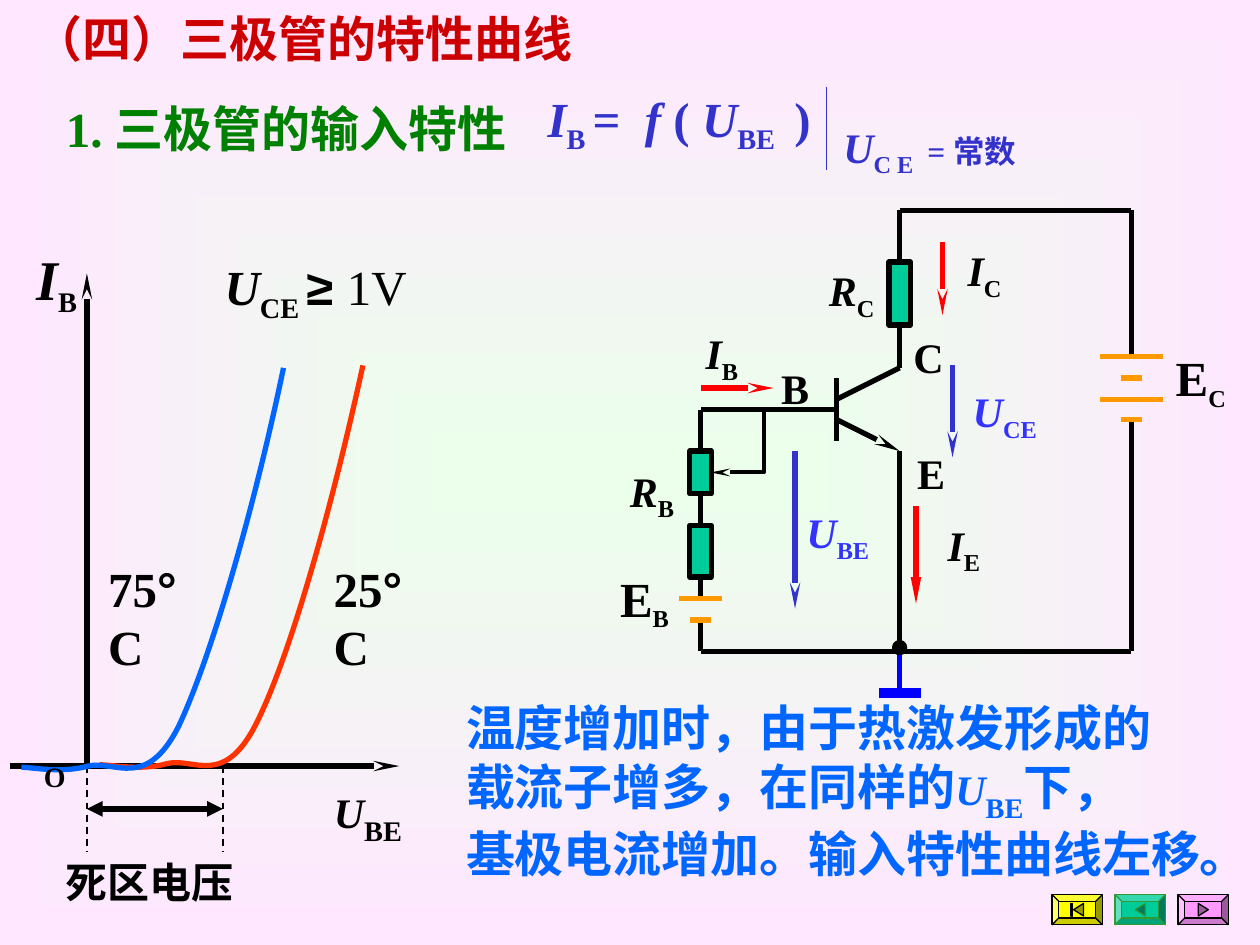
import pptx
import pptx.util
import pptx.dml.color
import pptx.enum.dml
import pptx.enum.shapes
import pptx.enum.text
import pptx.oxml
import pptx.oxml.ns

Inches, Pt = pptx.util.Inches, pptx.util.Pt
RGB = pptx.dml.color.RGBColor
KIND = pptx.enum.shapes.MSO_SHAPE
ALIGN = pptx.enum.text.PP_ALIGN
ANCHOR = pptx.enum.text.MSO_ANCHOR
NS = pptx.oxml.ns.nsdecls("a")
qn = pptx.oxml.ns.qn

BLACK, RED, BLUE = RGB(0, 0, 0), RGB(255, 0, 0), RGB(0, 0, 255)
INDIGO, VIOLET = RGB(0x33, 0x33, 0xCC), RGB(0x33, 0x33, 0xFF)
GREEN, CRIMSON = RGB(0, 0x80, 0), RGB(0xCC, 0, 0)
ORANGE, TEAL = RGB(0xFF, 0x99, 0), RGB(0, 0xCC, 0x99)
WARM, COOL = RGB(0xFF, 0x33, 0), RGB(0, 0x66, 0xFF)
MINT, ROSE = RGB(0xEB, 0xFF, 0xEB), RGB(0xFF, 0xE7, 0xFF)
LATIN, HAN = "Times New Roman", "Noto Sans CJK SC"

# A run is (text, style, size); styles: i italic, s subscript, a Arial, n not bold.
# A label is (left, top, width, height), size, colour, runs.
LABELS = [
    ((0.17, 0.02, 4.47, 0.57), 28, CRIMSON, [("（四）三极管的特性曲线",)]),
    ((0.38, 0.73, 3.78, 0.57), 28, GREEN, [("1. ",), ("三极管的输入特性",)]),
    ((3.98, 0.65, 2.82, 0.63), 28, INDIGO,
     [("I", "i"), ("B ", "s"), ("= ",), (" f", "i"), (" ( ",), ("U", "i"),
      ("BE ", "s"), (" )",)]),
    ((6.56, 0.91, 1.64, 0.56), 24, INDIGO,
     [("U", "i"), ("C E ", "s"), (" = 常数", "", 18)]),
    ((0.19, 1.89, 0.52, 0.69), 32, BLACK, [("I", "i"), ("B", "s", 28)]),
    ((2.55, 6.14, 0.74, 0.63), 24, BLACK, [("U", "i"), ("BE", "s", 28)]),
    ((0.25, 5.98, 0.37, 0.37), 16, BLACK, [("O",)]),
    ((1.62, 1.99, 1.77, 0.63), 28, BLACK,
     [("U", "i"), ("CE ", "s"), ("≥ ", "a"), ("1V", "n")]),
    ((0.42, 6.75, 1.53, 0.5), 24, BLACK, [("死区电压",)]),
    ((4.9, 3.64, 0.55, 0.56), 24, BLACK, [("R", "i"), ("B", "s")]),
    ((6.48, 2.05, 0.56, 0.56), 24, BLACK, [("R", "i"), ("C", "s")]),
    ((4.82, 4.46, 0.59, 0.61), 28, BLACK, [("E",), ("B", "s", 24)]),
    ((9.23, 2.71, 0.6, 0.61), 28, BLACK, [("E",), ("C", "s", 24)]),
    ((7.58, 1.89, 0.47, 0.56), 24, BLACK, [("I", "i"), ("C", "s")]),
    ((5.5, 2.55, 0.46, 0.56), 24, BLACK, [("I", "i"), ("B", "s")]),
    ((7.42, 4.07, 0.46, 0.56), 24, BLACK, [("I", "i"), ("E", "s")]),
    ((7.56, 3.01, 0.83, 0.56), 24, VIOLET, [("U", "i"), ("CE", "s")]),
    ((6.3, 3.97, 0.7, 0.56), 24, VIOLET, [("U", "i"), ("BE", "s")]),
    ((7.15, 2.58, 0.42, 0.5), 24, BLACK, [("C",)]),
    ((7.18, 3.5, 0.42, 0.5), 24, BLACK, [("E",)]),
    ((6.1, 2.83, 0.42, 0.5), 24, BLACK, [("B",)]),
]
NOTE = [
    [("温度增加时，由于热激发形成的",)],
    [("载流子增多，在同样的",), ("U", "i", 24), ("BE", "s"), ("下，",)],
    [("基极电流增加。输入特性曲线左移。",)],
]
TEMPS = [("25", 2.55), ("75", 0.76)]

RESISTORS = [(7.14, 2.08, 0.5), (5.56, 3.58, 0.34), (5.56, 4.17, 0.41)]
WIRES = [
    [(7.14, 2.08), (7.14, 1.67), (8.98, 1.67), (8.98, 2.83)],
    [(7.14, 2.58), (7.14, 2.92), (6.64, 3.17)],
    [(6.64, 3), (6.64, 3.5)],
    [(6.64, 3.25), (5.56, 3.25), (5.56, 3.58)],
    [(5.56, 3.92), (5.56, 4.17)],
    [(5.56, 4.58), (5.56, 4.75)],
    [(5.56, 4.92), (5.56, 5.17), (8.98, 5.17), (8.98, 3.33)],
    [(7.14, 3.58), (7.14, 5.17)],
]
ARROWS = [
    ((0.69, 6.08), (0.69, 2.17), BLACK, "stealth"),
    ((0.08, 6.08), (3.17, 6.08), BLACK, "stealth"),
    ((6.64, 3.33), (7.14, 3.58), BLACK, "stealth"),
    ((7.48, 1.92), (7.48, 2.5), RED, "stealth"),
    ((5.56, 3.08), (6.14, 3.08), RED, "stealth"),
    ((7.27, 4.02), (7.27, 4.79), RED, "triangle"),
    ((7.56, 2.9), (7.56, 3.63), INDIGO, "stealth"),
    ((6.31, 3.58), (6.31, 4.83), INDIGO, "stealth"),
]
PLATES = [(8.98, 2.83, 0.5), (8.98, 3, 0.17), (8.98, 3.17, 0.5),
          (8.98, 3.33, 0.17), (5.56, 4.75, 0.34), (5.56, 4.92, 0.17)]
CURVES = [
    (WARM, [(0.79, 6.07), (0.88, 6.07), (1.12, 6.12), (1.33, 6.06), (1.54, 6.01),
            (1.78, 6.26), (2.04, 5.73), (2.3, 5.21), (2.63, 4.05), (2.88, 2.9)]),
    (COOL, [(0.17, 6.09), (0.26, 6.09), (0.49, 6.14), (0.7, 6.08), (0.91, 6.03),
            (1.16, 6.28), (1.42, 5.76), (1.67, 5.23), (2.01, 4.07), (2.25, 2.92)]),
]
# fill, line, icon fill, arrow direction, bar
BUTTONS = [
    (RGB(255, 255, 0), BLACK, RGB(0x99, 0x99, 0), -1, True),
    (TEAL, RGB(0x33, 0x99, 0x33), RGB(0, 0x7A, 0x5C), -1, False),
    (RGB(0xFF, 0x99, 0xFF), BLACK, RGB(0x99, 0x5C, 0x99), 1, False),
]

deck = pptx.Presentation()
deck.slide_width, deck.slide_height = Inches(10), Inches(7.5)
slide = deck.slides.add_slide(deck.slide_layouts[6])
shapes = slide.shapes
ports = {}


def paint():
    """Fill the background from a mint centre to rose edges."""
    fill = slide.background.fill
    fill.gradient()
    for stop, hue, pos in zip(fill.gradient_stops, (MINT, ROSE), (0, 1)):
        stop.color.rgb, stop.position = hue, pos
    grad = slide.background._cSld.find(".//" + qn("a:gradFill"))
    grad.replace(grad.find(qn("a:lin")), pptx.oxml.parse_xml(
        f'<a:path {NS} path="rect"><a:fillToRect l="50000" t="50000" '
        'r="50000" b="50000"/></a:path>'))


def tip(item, end, kind, wide="sm", long="lg"):
    """Add an arrowhead; end is head or tail."""
    item.line._get_or_add_ln().append(pptx.oxml.parse_xml(
        f'<a:{end}End {NS} type="{kind}" w="{wide}" len="{long}"/>'))


def rule(start, end, hue=BLACK, width=3):
    item = shapes.add_connector(pptx.enum.shapes.MSO_CONNECTOR.STRAIGHT,
                                *map(Inches, start + end))
    item._element.spPr.append(pptx.oxml.parse_xml(f"<a:effectLst {NS}/>"))
    item.line.color.rgb, item.line.width = hue, Pt(width)
    if start in ports:
        item.begin_connect(*ports[start])
    if end in ports:
        item.end_connect(*ports[end])
    return item


def style(item, fill, hue, width):
    item.shadow.inherit = False
    if fill is None:
        item.fill.background()
    else:
        item.fill.solid()
        item.fill.fore_color.rgb = fill
    item.line.color.rgb, item.line.width = hue, Pt(width)
    return item


def block(kind, box, fill, hue=BLACK, width=3):
    return style(shapes.add_shape(kind, *map(Inches, box)), fill, hue, width)


def trace(pts, hue, width, fill=None, close=False):
    pen = shapes.build_freeform(*map(Inches, pts[0]))
    pen.add_line_segments([tuple(map(Inches, p)) for p in pts[1:]], close=close)
    return style(pen.convert_to_shape(), fill, hue, width)


def bend(item):
    """Turn each three line segments into one cubic curve."""
    track = item._element.find(".//" + qn("a:path"))
    legs = track.findall(qn("a:lnTo"))
    for i in range(0, len(legs), 3):
        cubic = pptx.oxml.parse_xml(f"<a:cubicBezTo {NS}/>")
        for leg in legs[i:i + 3]:
            cubic.append(leg[0])
            track.remove(leg)
        track.append(cubic)


def write(box, size, hue, paras, align=ALIGN.CENTER, anchor=ANCHOR.MIDDLE, wrap=False):
    frame = shapes.add_textbox(*map(Inches, box)).text_frame
    frame.word_wrap, frame.vertical_anchor = wrap, anchor
    frame.auto_size = pptx.enum.text.MSO_AUTO_SIZE.SHAPE_TO_FIT_TEXT
    for n, runs in enumerate(paras):
        para = frame.add_paragraph() if n else frame.paragraphs[0]
        para.alignment = align
        font = para.font
        font.size, font.bold, font.name, font.color.rgb = Pt(size), True, LATIN, hue
        font._element.append(pptx.oxml.parse_xml(f'<a:ea {NS} typeface="{HAN}"/>'))
        for text, mode, pts in ((*r, "", None)[:3] if len(r) == 1
                                else (*r, None)[:3] for r in runs):
            run = para.add_run()
            run.text = text
            if "i" in mode:
                run.font.italic = True
            if "n" in mode:
                run.font.bold = False
            if "a" in mode:
                run.font.name = "Arial"
            if "s" in mode:
                run._r.get_or_add_rPr().set("baseline", "-25000")
            if pts:
                run.font.size = Pt(pts)


paint()
for x, top, high in RESISTORS:
    box = block(KIND.RECTANGLE, (x - 0.085, top, 0.17, high), TEAL)
    ports[x, top], ports[x, round(top + high, 2)] = (box, 0), (box, 2)
for wire in WIRES:
    for start, end in zip(wire, wire[1:]):
        rule(start, end)
for start, end, hue, kind in ARROWS:
    tip(rule(start, end, hue), "tail", kind)
for x, y, wide in PLATES:
    rule((x - wide / 2, y), (x + wide / 2, y), ORANGE)
rule((7.14, 5.17), (7.14, 5.5), BLUE)
rule((6.98, 5.5), (7.31, 5.5), BLUE, 6)
block(KIND.OVAL, (7.1, 5.1, 0.08, 0.08), BLACK)
tip(trace([(6.06, 3.25), (6.06, 3.75), (5.64, 3.75)], BLACK, 2.25), "tail", "stealth")

rule((6.56, 0.69), (6.56, 1.35), INDIGO, 0.75)
for x in (0.69, 1.77):
    rule((x, 6.08), (x, 6.76), width=1).line.dash_style = pptx.enum.dml.MSO_LINE.DASH
span = rule((0.69, 6.42), (1.77, 6.42))
for end in ("head", "tail"):
    tip(span, end, "triangle", "med", "med")
for hue, pts in CURVES:
    bend(trace(pts, hue, 3))

for box, size, hue, runs in LABELS:
    write(box, size, hue, [runs])
for num, x in TEMPS:
    write((x, 4.38, 0.97, 0.57), 28, BLACK, [[(num,), ("°", "a"), ("C",)]],
          ALIGN.LEFT, ANCHOR.TOP, True)
write((3.6, 5.49, 6.41, 1.57), 28, COOL, NOTE, ALIGN.LEFT, ANCHOR.TOP)

for n, (fill, hue, dark, way, bar) in enumerate(BUTTONS):
    x, y = 8.35 + 0.5 * n, 7.1
    block(KIND.BEVEL, (x, y, 0.4, 0.24), fill, hue, 0.75).adjustments[0] = 0.22
    mid, row = x + 0.2 + 0.01 * bar, y + 0.12
    back, tipx = mid - 0.04 * way, mid + 0.04 * way
    trace([(tipx, row), (back, row - 0.05), (back, row + 0.05)], hue, 0.75, dark, True)
    if bar:
        block(KIND.RECTANGLE, (x + 0.15, row - 0.05, 0.01, 0.1), dark, hue, 0.75)

deck.save("out.pptx")
